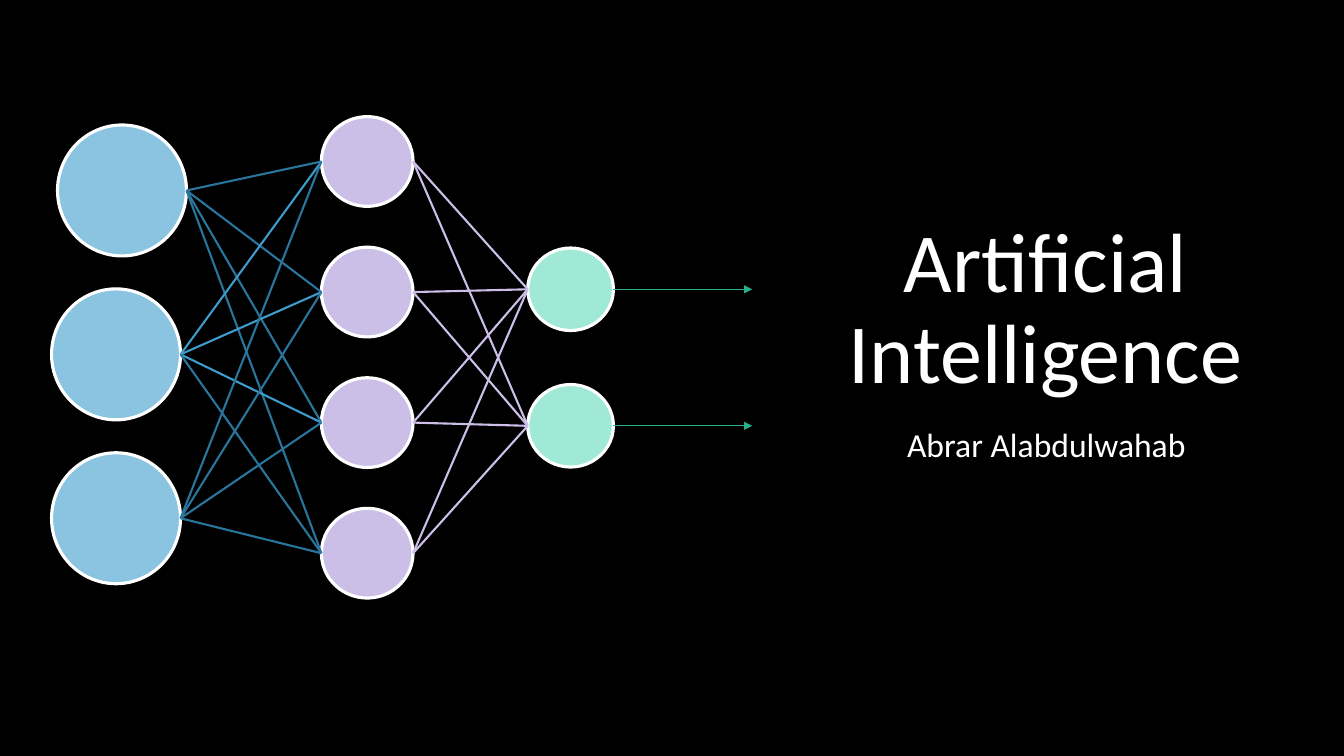
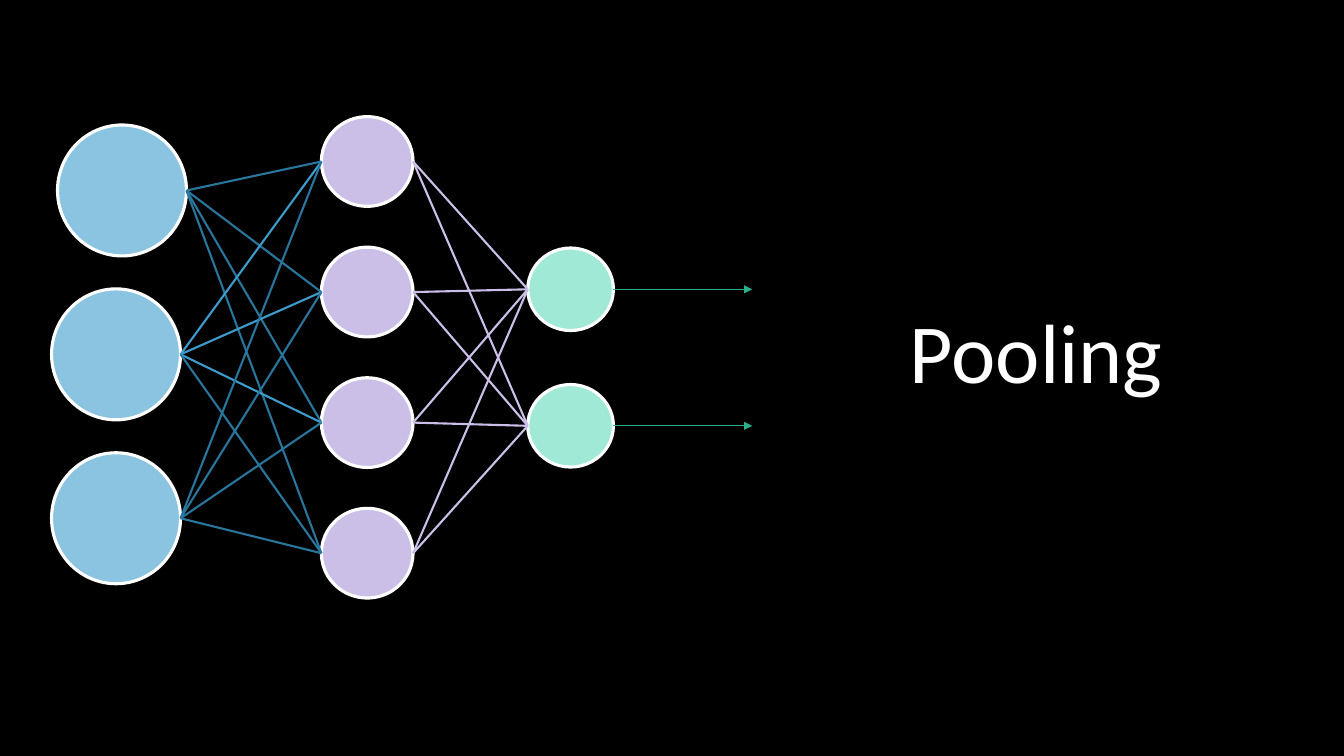
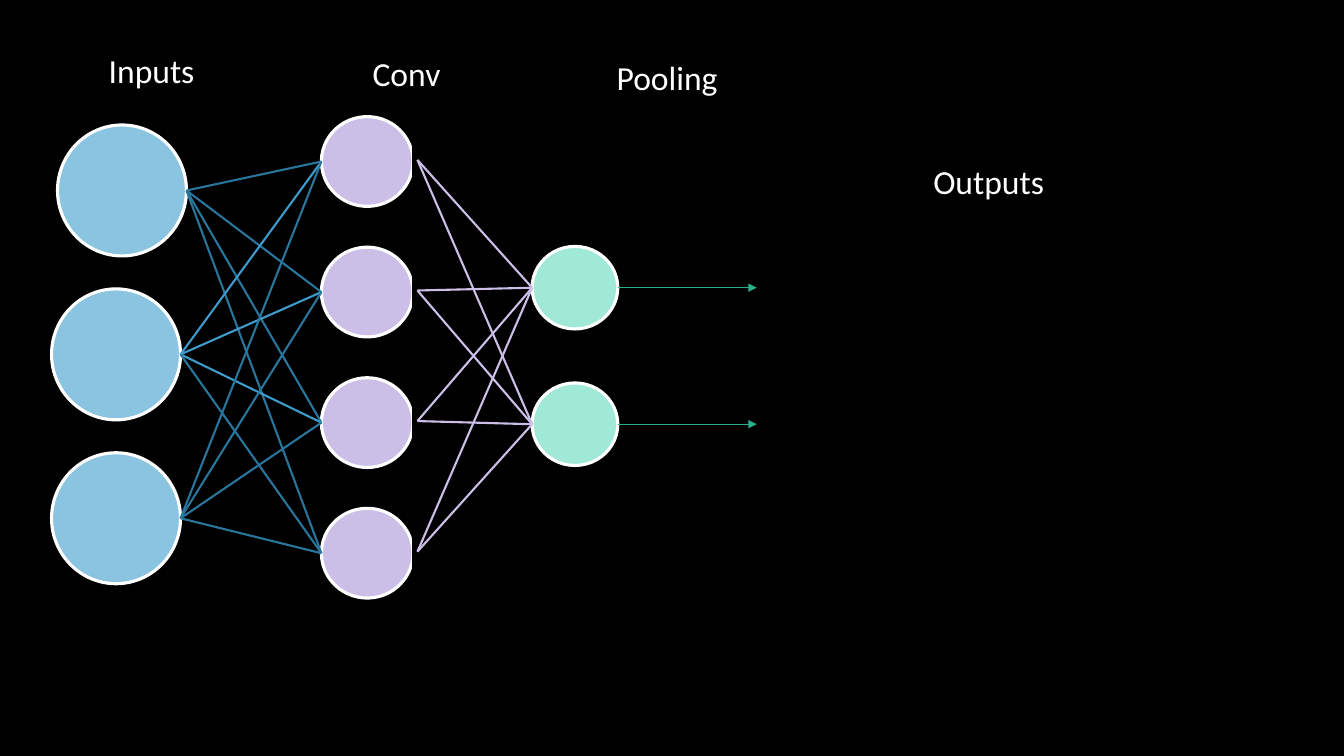
import dataclasses
import itertools

import lxml.etree
import pptx
import pptx.dml.color
import pptx.enum.shapes
import pptx.enum.text
import pptx.oxml.ns
import pptx.util

Cm = pptx.util.Cm
Pt = pptx.util.Pt
qn = pptx.oxml.ns.qn
ALIGN = pptx.enum.text.PP_ALIGN
ANCHOR = pptx.enum.text.MSO_ANCHOR
FIT = pptx.enum.text.MSO_AUTO_SIZE
KIND = pptx.enum.shapes.MSO_SHAPE
STRAIGHT = pptx.enum.shapes.MSO_CONNECTOR.STRAIGHT


@dataclasses.dataclass(frozen=True)
class Theme:
    font: str = "Calibri"
    back: str = "000000"
    text: str = "FFFFFF"
    ring: str = "FFFFFF"
    input: str = "8BC4E0"
    conv: str = "CBBFE8"
    output: str = "A0E9D6"
    dark: str = "29769D"
    bright: str = "3D9CCC"
    arrow: str = "29AF8C"
    title: float = 60
    body: float = 24
    edge: float = 2.25
    link: float = 1.5
    thin: float = 0.5


def color(code):
    return pptx.dml.color.RGBColor.from_string(code)


class Deck:
    def __init__(self, theme):
        self.theme = theme
        self.show = pptx.Presentation()
        self.show.slide_width = Cm(33.87)
        self.show.slide_height = Cm(19.05)

    def page(self):
        self.slide = self.show.slides.add_slide(self.show.slide_layouts[6])
        fill = self.slide.background.fill
        fill.solid()
        fill.fore_color.rgb = color(self.theme.back)

    # Basic parts
    def text(self, words, box, size):
        frame = self.slide.shapes.add_textbox(*map(Cm, box)).text_frame
        frame.word_wrap = True
        frame.text = words
        para = frame.paragraphs[0]
        font = para.runs[0].font
        font.name = self.theme.font
        font.size = Pt(size)
        font.color.rgb = color(self.theme.text)
        return frame, para

    def form(self, kind, box, fill, line, width):
        shape = self.slide.shapes.add_shape(kind, *map(Cm, box))
        shape.shadow.inherit = False
        shape.fill.solid()
        shape.fill.fore_color.rgb = color(fill)
        shape.line.color.rgb = color(line)
        shape.line.width = Pt(width)

    def link(self, start, end, code, width, head=False):
        line = self.slide.shapes.add_connector(STRAIGHT, *map(Cm, start + end))
        line.line.color.rgb = color(code)
        line.line.width = Pt(width)
        props = line._element.spPr
        if head:
            lxml.etree.SubElement(props.find(qn("a:ln")), qn("a:tailEnd"), type="triangle")
        lxml.etree.SubElement(props, qn("a:effectLst"))

    # Text styles
    def title(self, words):
        frame, para = self.text(words, (19.25, 5.41, 14.2, 4.83), self.theme.title)
        frame.vertical_anchor = ANCHOR.BOTTOM
        para.alignment = ALIGN.CENTER
        para.line_spacing = 0.9

    def byline(self, words):
        para = self.text(words, (21.44, 10.67, 9.86, 1.57), self.theme.body)[1]
        para.alignment = ALIGN.CENTER
        para.line_spacing = 0.9
        para.space_before = Pt(10)

    def label(self, words, left, top):
        frame = self.text(words, (left, top, 4.27, 1.27), self.theme.body)[0]
        frame.auto_size = FIT.SHAPE_TO_FIT_TEXT

    # Network layers
    def layer(self, lefts, top, step, size, fill):
        """Draw a column of nodes; return their left and right ports."""
        wide, high = size
        ins, outs = [], []
        for row, left in enumerate(lefts):
            y = top + row * step
            self.form(KIND.FLOWCHART_CONNECTOR, (left, y, wide, high),
                      fill, self.theme.ring, self.theme.edge)
            ins.append((left, y + high / 2))
            outs.append((left + wide, y + high / 2))
        return ins, outs

    def network(self, dx=0, dy=0, cover=False):
        look = self.theme
        starts = self.layer((1.45, 1.3, 1.3), 3.15, 4.13, (3.25, 3.3), look.input)[1]
        ins, outs = self.layer([8.1] * 4, 2.94, 3.29, (2.31, 2.26), look.conv)
        for (i, start), (j, end) in itertools.product(enumerate(starts), enumerate(ins)):
            code = look.bright if i == 1 and j < 3 else look.dark
            self.link(start, end, code, look.link)

        # Panel that trims the right edge of the middle layer
        if cover:
            self.form(KIND.RECTANGLE, (10.41, 2.54, 15.34, 13.49), look.back, look.back, 1)

        # Output layer, shifted as one group
        ends, tips = self.layer([13.3 + dx] * 2, 6.25 + dy, 3.44, (2.16, 2.08), look.output)
        for (x, y), end in itertools.product(outs, ends):
            self.link((x + dx, y + dy), end, look.conv, look.link)
        for x, y in tips:
            self.link((x, y), (x + 3.5, y), look.arrow, look.thin, head=True)


def main():
    deck = Deck(Theme())

    # Cover
    deck.page()
    deck.title("Artificial Intelligence")
    deck.byline("Abrar Alabdulwahab")
    deck.network()

    # Section
    deck.page()
    deck.title("Pooling ")
    deck.network()

    # Labelled network
    deck.page()
    deck.network(dx=0.11, dy=-0.04, cover=True)
    for words, left, top in (
        ("Outputs", 23.27, 3.94),
        ("Inputs", 2.49, 1.14),
        ("Conv", 9.14, 1.22),
        ("Pooling", 15.29, 1.3),
    ):
        deck.label(words, left, top)

    deck.show.save("out.pptx")


if __name__ == "__main__":
    main()
